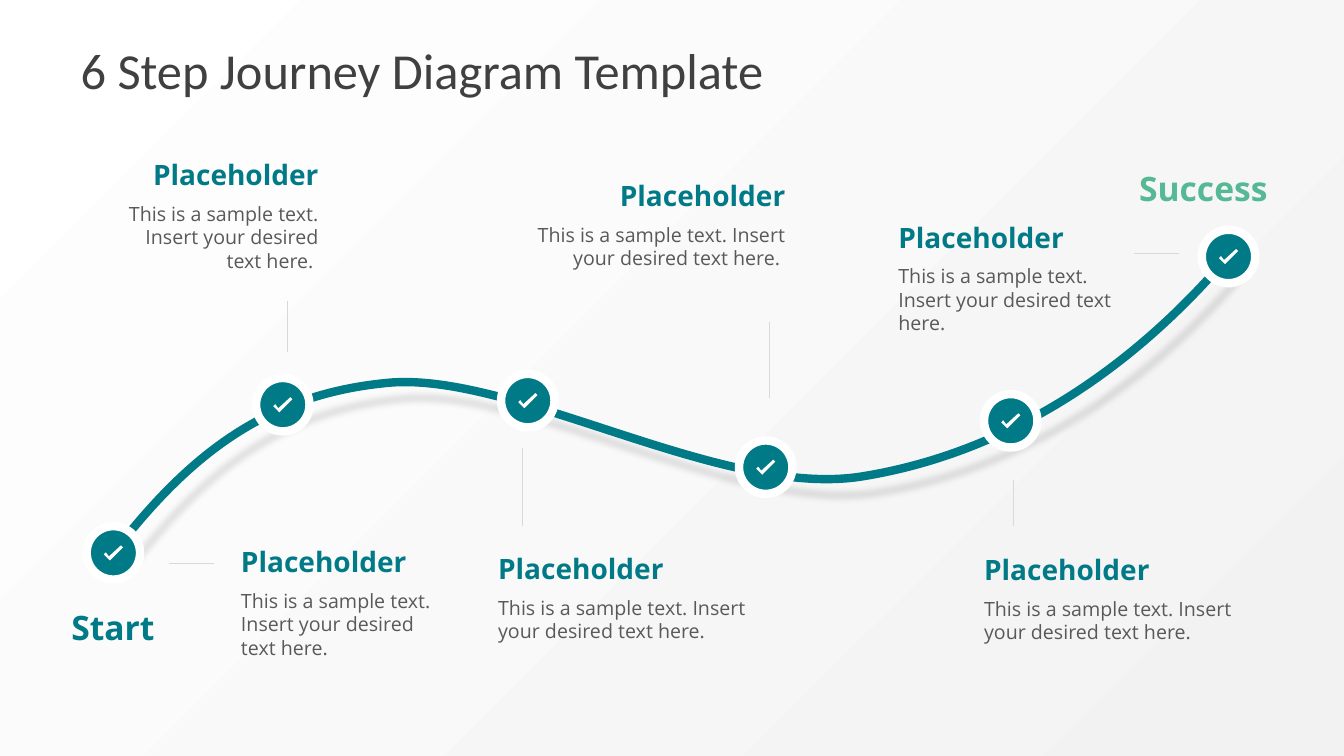
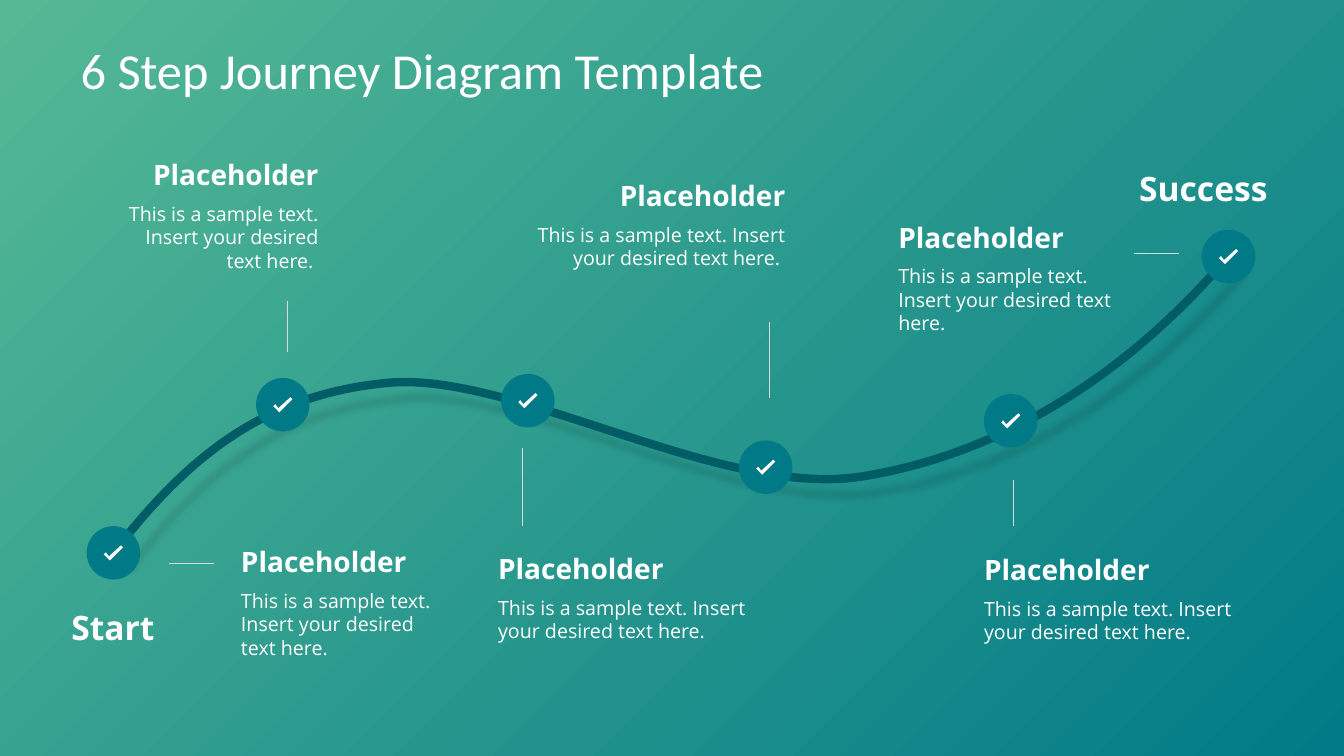
from dataclasses import dataclass

from lxml import etree
from pptx import Presentation
from pptx.dml.color import RGBColor
from pptx.enum.shapes import MSO_CONNECTOR, MSO_SHAPE
from pptx.enum.text import MSO_ANCHOR, MSO_AUTO_SIZE, PP_ALIGN
from pptx.oxml import parse_xml
from pptx.oxml.ns import nsdecls, qn
from pptx.util import Inches, Pt

WHITE = RGBColor(0xFF, 0xFF, 0xFF)
PALE_GRAY = RGBColor(0xF2, 0xF2, 0xF2)
LINE_GRAY = RGBColor(0xD9, 0xD9, 0xD9)
TEXT_GRAY = RGBColor(0x59, 0x59, 0x59)
TITLE_GRAY = RGBColor(0x40, 0x40, 0x40)
TEAL = RGBColor(0x01, 0x7A, 0x87)
DARK_TEAL = RGBColor(0x01, 0x5C, 0x65)
GREEN = RGBColor(0x55, 0xB9, 0x95)

TITLE_FONT = "Calibri"
BODY_FONT = "Open Sans"
TITLE = "6 Step Journey Diagram Template"
SAMPLE_TEXT = "This is a sample text. Insert your desired text here."
LEFT, RIGHT = PP_ALIGN.LEFT, PP_ALIGN.RIGHT

DISC_SIZE = 0.53
HEADING_HEIGHT = 0.44
TITLE_INSETS = (0.13, 0.07)
LABEL_INSETS = (0.1, 0.05)
STEP_INSETS = (0, 0.05)

# Start point, then three points for each cubic curve
ROAD = [(1.12, 5.49),
        (1.84, 4.56), (2.59, 3.92), (3.83, 3.8),
        (5.06, 3.67), (7.13, 4.94), (8.53, 4.73),
        (9.93, 4.51), (11.19, 3.72), (12.21, 2.51)]

# Outline of the tick, measured from the corner of its disc
TICK = [(0.22, 0.3), (0.19, 0.26), (0.17, 0.28), (0.22, 0.33),
        (0.23, 0.34), (0.36, 0.21), (0.34, 0.19)]

# Corner of each milestone disc
MILESTONES = [(0.86, 5.22), (2.54, 3.75), (4.97, 3.71),
              (7.33, 4.37), (9.76, 3.91), (11.92, 2.28)]

# Left, top, width, height of the body text, alignment
STEPS = [(2.39, 5.35, 1.92, 0.81, LEFT),
         (1.05, 1.51, 2.11, 0.81, RIGHT),
         (4.94, 5.42, 2.58, 0.57, LEFT),
         (5.21, 1.72, 2.58, 0.57, RIGHT),
         (9.76, 5.43, 2.58, 0.57, LEFT),
         (8.91, 2.13, 2.12, 0.81, LEFT)]

# Start and end of each leader line
LEADERS = [(1.68, 5.59, 2.12, 5.59), (2.85, 2.99, 2.85, 3.49),
           (5.18, 4.44, 5.18, 5.22), (7.63, 3.19, 7.63, 3.95),
           (10.05, 4.76, 10.05, 5.22), (11.25, 2.52, 11.69, 2.52)]


@dataclass
class Theme:
    background: tuple
    title: RGBColor
    heading: RGBColor
    body: RGBColor
    success: RGBColor
    road: RGBColor
    ring: bool


LIGHT = Theme((WHITE, PALE_GRAY), TITLE_GRAY, TEAL, TEXT_GRAY, GREEN, TEAL, True)
VIVID = Theme((GREEN, TEAL), WHITE, WHITE, WHITE, WHITE, DARK_TEAL, False)


def set_background(slide, colors):
    fill = slide.background.fill
    fill.gradient()
    fill.gradient_angle = 315
    for stop, color in zip(fill.gradient_stops, colors):
        stop.color.rgb = color


def add_text(shapes, box, text, size, color, insets, font=BODY_FONT, bold=False,
             align=LEFT, anchor=MSO_ANCHOR.TOP, wrap=True, grow=True):
    shape = shapes.add_textbox(*map(Inches, box))
    frame = shape.text_frame
    frame.text = text
    frame.word_wrap = wrap
    frame.auto_size = MSO_AUTO_SIZE.SHAPE_TO_FIT_TEXT if grow else MSO_AUTO_SIZE.NONE
    frame.vertical_anchor = anchor
    frame.margin_left = frame.margin_right = Inches(insets[0])
    frame.margin_top = frame.margin_bottom = Inches(insets[1])
    paragraph = frame.paragraphs[0]
    paragraph.alignment = align
    run_font = paragraph.runs[0].font
    run_font.name = font
    run_font.size = Pt(size)
    run_font.bold = bold
    run_font.color.rgb = color


def add_outline(shapes, points, close):
    """Draw a freeform through points given in inches."""
    start, *rest = [(Inches(x), Inches(y)) for x, y in points]
    builder = shapes.build_freeform(*start)
    builder.add_line_segments(rest, close=close)
    shape = builder.convert_to_shape()
    shape.shadow.inherit = False
    return shape


def bend_segments(shape):
    """Turn every three straight segments into one cubic curve."""
    outline = next(shape.element.iter(qn("a:path")))
    segments = outline.findall(qn("a:lnTo"))
    for first in range(0, len(segments), 3):
        curve = etree.SubElement(outline, qn("a:cubicBezTo"))
        for segment in segments[first:first + 3]:
            curve.append(segment[0])
            outline.remove(segment)


def add_road(slide, color):
    shape = add_outline(slide.shapes, ROAD, close=False)
    bend_segments(shape)
    shape.fill.background()
    shape.line.color.rgb = color
    shape.line.width = Pt(6)
    effects = shape.element.spPr.find(qn("a:effectLst"))
    effects.append(parse_xml(
        f'<a:outerShdw {nsdecls("a")} blurRad="{Pt(4)}" dist="{Pt(16)}" '
        'dir="2700000" algn="tl" rotWithShape="0">'
        '<a:srgbClr val="000000"><a:alpha val="9000"/></a:srgbClr></a:outerShdw>'))


def add_milestone(slide, left, top, ring):
    shapes = slide.shapes.add_group_shape().shapes
    disc = shapes.add_shape(MSO_SHAPE.OVAL, Inches(left), Inches(top),
                            Inches(DISC_SIZE), Inches(DISC_SIZE))
    disc.shadow.inherit = False
    disc.fill.solid()
    disc.fill.fore_color.rgb = TEAL
    if ring:
        disc.line.color.rgb = WHITE
        disc.line.width = Pt(6)
    else:
        disc.line.fill.background()
    tick = add_outline(shapes, [(left + x, top + y) for x, y in TICK], close=True)
    tick.fill.solid()
    tick.fill.fore_color.rgb = WHITE
    tick.line.fill.background()


def add_step(slide, left, top, width, body_height, align, theme):
    shapes = slide.shapes.add_group_shape().shapes
    text = SAMPLE_TEXT + " " if align == RIGHT else SAMPLE_TEXT
    add_text(shapes, (left, top, width, HEADING_HEIGHT), "Placeholder", 20,
             theme.heading, STEP_INSETS, bold=True, align=align,
             anchor=MSO_ANCHOR.MIDDLE)
    add_text(shapes, (left, top + HEADING_HEIGHT, width, body_height), text, 14,
             theme.body, STEP_INSETS, align=align)


def add_leader(slide, ends):
    line = slide.shapes.add_connector(MSO_CONNECTOR.STRAIGHT, *map(Inches, ends))
    line.line.color.rgb = LINE_GRAY
    line.line.width = Pt(0.75)
    etree.SubElement(line.element.spPr, qn("a:effectLst"))


def add_journey_slide(presentation, theme):
    slide = presentation.slides.add_slide(presentation.slide_layouts[6])
    set_background(slide, theme.background)
    add_text(slide.shapes, (0.67, 0.3, 12, 0.78), TITLE, 36, theme.title,
             TITLE_INSETS, font=TITLE_FONT, anchor=MSO_ANCHOR.MIDDLE, grow=False)
    add_road(slide, theme.road)
    for left, top in MILESTONES:
        add_milestone(slide, left, top, theme.ring)
    for step in STEPS:
        add_step(slide, *step, theme)
    for ends in LEADERS:
        add_leader(slide, ends)
    add_text(slide.shapes, (0.61, 5.97, 1.03, 0.5), "Start", 24, theme.heading,
             LABEL_INSETS, bold=True, wrap=False)
    add_text(slide.shapes, (11.18, 1.62, 1.49, 0.5), "Success", 24, theme.success,
             LABEL_INSETS, bold=True, align=RIGHT, wrap=False)


def main():
    presentation = Presentation()
    presentation.slide_width = Inches(13.33)
    presentation.slide_height = Inches(7.5)
    for theme in (LIGHT, VIVID):
        add_journey_slide(presentation, theme)
    presentation.save("out.pptx")


if __name__ == "__main__":
    main()
